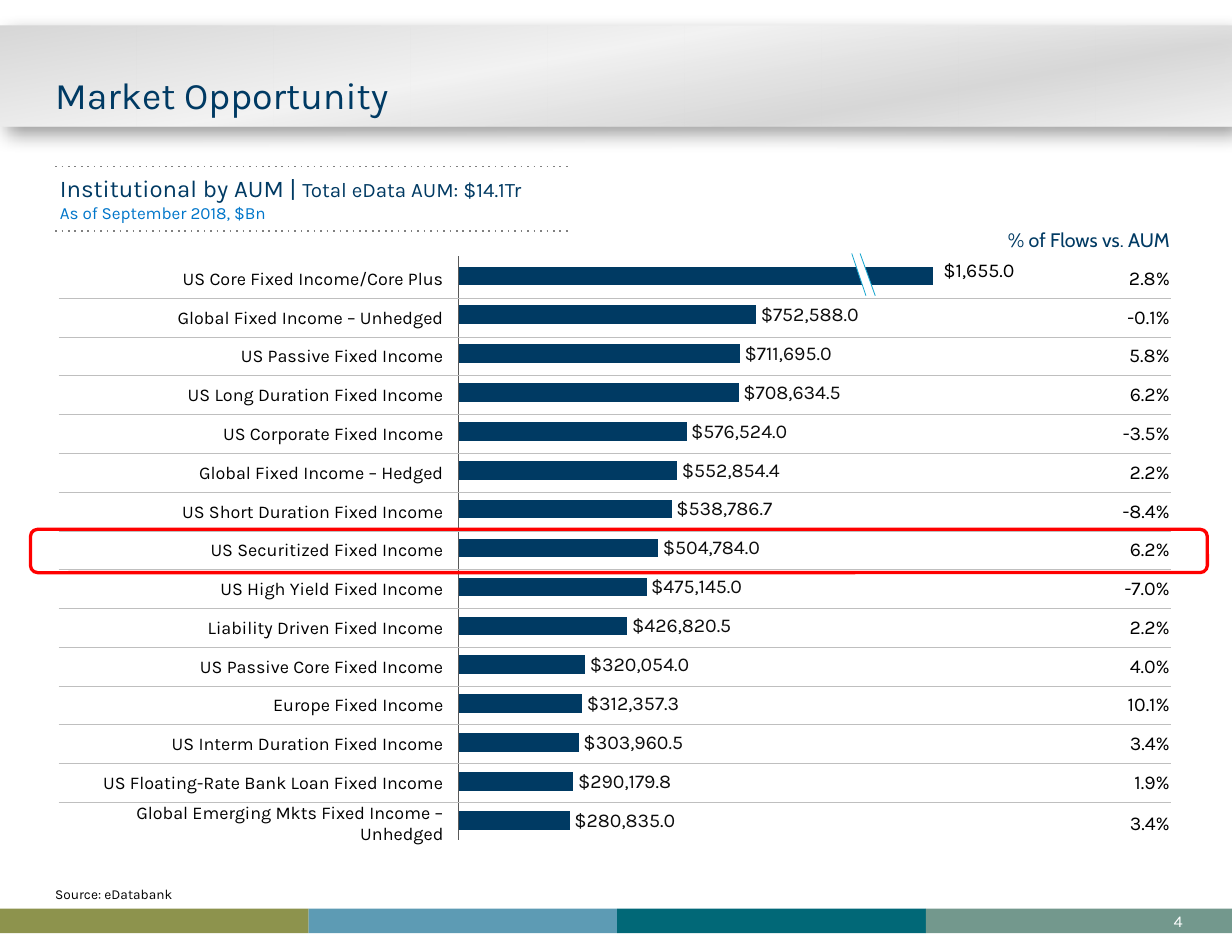
from pptx import Presentation
from pptx.chart.data import CategoryChartData
from pptx.dml.color import RGBColor
from pptx.enum.chart import XL_CHART_TYPE as CT, XL_LABEL_POSITION as LP
from pptx.enum.chart import XL_TICK_LABEL_POSITION as TLP, XL_TICK_MARK as TM
from pptx.enum.shapes import MSO_CONNECTOR as MC, MSO_SHAPE as MS
from pptx.enum.text import MSO_ANCHOR as MA, PP_ALIGN as PA
from pptx.oxml import parse_xml
from pptx.oxml.ns import nsdecls
from pptx.util import Pt

NAVY, BLACK, FMT = "003A63", "000000", '"$"#,##0.0'
rgb = RGBColor.from_string


def write(tf, paras, insets=(0, 0, 0, 0), anchor=MA.TOP, align=PA.LEFT, wrap=True):
    sides = ("margin_left", "margin_top", "margin_right", "margin_bottom")
    fmt = dict(zip(sides, map(Pt, insets)), vertical_anchor=anchor, word_wrap=wrap)
    for k, v in fmt.items():
        setattr(tf, k, v)
    for i, runs in enumerate(paras):
        p = tf.add_paragraph() if i else tf.paragraphs[0]
        p.alignment = align
        for text, size, color, font in runs:
            r = p.add_run()
            r.text = text
            r.font.size, r.font.name = Pt(size), font
            r.font.color.rgb = rgb(color)


def shape(kind, box, fill=None, line=None):
    sp = s.shapes.add_shape(kind, *map(Pt, box))
    sp.shadow.inherit = False
    if fill:
        sp.fill.solid()
        sp.fill.fore_color.rgb = rgb(fill)
    else:
        sp.fill.background()
    if line:
        sp.line.color.rgb, sp.line.width = rgb(line), Pt(2)
    else:
        sp.line.fill.background()
    return sp


prs = Presentation()
prs.slide_width, prs.slide_height = Pt(756), Pt(576)
s = prs.slides.add_slide(prs.slide_layouts[5])

band = shape(MS.RECTANGLE, (0, 16, 756, 61.5), "F2F2F2")
pr = band.element.spPr
stops = "".join(
    f'<a:gs pos="{pos}000"><a:srgbClr val="{c}"><a:alpha val="{a}000"/></a:srgbClr></a:gs>'
    for pos, c, a in ((0, "D6D6D6", 100), (41, "F2F2F2", 100),
                      (73, "DBDBDB", 93), (100, "F2F2F2", 100)))
pr.replace(pr.find("{*}solidFill"), parse_xml(
    f'<a:gradFill {nsdecls("a")} rotWithShape="1"><a:gsLst>{stops}</a:gsLst>'
    '<a:lin ang="4800000" scaled="0"/></a:gradFill>'))
pr.replace(pr.find("{*}effectLst"), parse_xml(
    f'<a:effectLst {nsdecls("a")}><a:outerShdw blurRad="152400" dist="76200" dir="2700000" '
    'algn="tl" rotWithShape="0"><a:srgbClr val="000000"><a:alpha val="40000"/></a:srgbClr>'
    '</a:outerShdw></a:effectLst>'))
for i, c in enumerate(("8D934D", "5D9BB4", "016877", "73988D")):
    shape(MS.RECTANGLE, (i * 189.4, 557.3, min(189.4, 756 - i * 189.4), 15.1), c)

rows = (
    ("US Core Fixed Income/Core Plus", 1200000, "2.8%"),
    ("Global Fixed Income – Unhedged", 752588, "-0.1%"),
    ("US Passive Fixed Income", 711695, "5.8%"),
    ("US Long Duration Fixed Income", 708634.5, "6.2%"),
    ("US Corporate Fixed Income", 576524, "-3.5%"),
    ("Global Fixed Income – Hedged", 552854.4, "2.2%"),
    ("US Short Duration Fixed Income", 538786.7, "-8.4%"),
    ("US Securitized Fixed Income", 504784, "6.2%"),
    ("US High Yield Fixed Income", 475145, "-7.0%"),
    ("Liability Driven Fixed Income", 426820.5, "2.2%"),
    ("US Passive Core Fixed Income", 320054, "4.0%"),
    ("Europe Fixed Income", 312357.3, "10.1%"),
    ("US Interm Duration Fixed Income", 303960.5, "3.4%"),
    ("US Floating-Rate Bank Loan Fixed Income", 290179.8, "1.9%"),
    ("Global Emerging Mkts Fixed Income – Unhedged", 280835, "3.4%"),
)

cd = CategoryChartData()
cd.categories = [str(i + 1) for i in range(len(rows))]
cd.add_series("Series 1", [row[1] for row in rows])
chart = s.shapes.add_chart(
    CT.BAR_CLUSTERED, Pt(144.7), Pt(152.6), Pt(573.8), Pt(362.9), cd).chart
chart.has_legend = chart.has_title = False
chart.font.size, chart.font.name = Pt(9), "Karla"
chart.font.color.rgb = rgb("0D0D0D")
cat, val = chart.category_axis, chart.value_axis
for ax, fmt in (
    (cat, dict(reverse_order=True, major_tick_mark=TM.NONE)),
    (val, dict(minimum_scale=-20000, maximum_scale=1300000, major_unit=500000,
               major_tick_mark=TM.OUTSIDE)),
):
    fmt.update(has_major_gridlines=False, tick_label_position=TLP.NONE)
    for k, v in fmt.items():
        setattr(ax, k, v)
cat.format.line.color.rgb, cat.format.line.width = rgb("595959"), Pt(0.5)
val.format.line.fill.background()
val.tick_labels.number_format, val.tick_labels.number_format_is_linked = FMT, False
plot = chart.plots[0]
plot.gap_width, plot.vary_by_categories = 110, False
ser = plot.series[0]
ser.format.fill.solid()
ser.format.fill.fore_color.rgb = rgb(NAVY)
dl = ser.data_labels
for k, v in dict(show_value=True, number_format=FMT, number_format_is_linked=False,
                 position=LP.OUTSIDE_END).items():
    setattr(dl, k, v)
dl.font.size, dl.font.name = Pt(12), "Karla"
dl.font.color.rgb = rgb("0D0D0D")
ser.data_labels._element.insert(0, parse_xml(
    f'<c:dLbl {nsdecls("c")}><c:idx val="0"/><c:delete val="1"/></c:dLbl>'))
area = chart.element.xpath("c:chart/c:plotArea")[0]
for old in area.xpath("c:layout"):
    area.remove(old)
sizes = "".join(f'<c:{k} val="{v}"/>' for k, v in
                dict(x=0.23, y=0.013, w=0.558, h=0.987).items())
area.insert(0, parse_xml(
    f'<c:layout {nsdecls("c")}><c:manualLayout><c:layoutTarget val="inner"/>'
    f'<c:xMode val="edge"/><c:yMode val="edge"/>{sizes}</c:manualLayout></c:layout>'))

n = len(rows) + 1
tbl = s.shapes.add_table(n, 2, Pt(36), Pt(135.4), Pt(682.6), Pt(23.8 * n)).table
tbl.first_row = tbl.horz_banding = False
tbl.columns[0].width, tbl.columns[1].width = Pt(236.9), Pt(445.7)
for i in range(n):
    tbl.rows[i].height = Pt(23.8)
    if i:
        texts = ((rows[i - 1][0], 11, BLACK, "Karla"), (rows[i - 1][2], 12, BLACK, "Karla"))
    else:
        texts = (("", 12, NAVY, "Cabin"), ("% of Flows vs. AUM", 12, NAVY, "Cabin"))
    for j, run in enumerate(texts):
        cell = tbl.cell(i, j)
        write(cell.text_frame, [[run]] if run[0] else [], align=PA.RIGHT)
        for k, v in dict(margin_left=0.7, margin_right=0.7, margin_bottom=0,
                         margin_top=0 if j else 0.7).items():
            setattr(cell, k, Pt(v))
        cell.vertical_anchor = MA.MIDDLE
        cell.fill.background()
        ruled = {"lnT": i > 1, "lnB": 0 < i < n - 1}
        for k, tag in enumerate(("lnL", "lnR", "lnT", "lnB")):
            ink = ('<a:solidFill><a:srgbClr val="BFBFBF"/></a:solidFill>'
                   if ruled.get(tag) else "<a:noFill/>")
            cell._tc.get_or_add_tcPr().insert(k, parse_xml(
                f'<a:{tag} {nsdecls("a")} w="6350">{ink}</a:{tag}>'))

title = s.shapes.title
s.shapes.element.append(title.element)
for k, v in dict(left=33.8, top=48.2, width=532.8, height=23.8).items():
    setattr(title, k, Pt(v))
write(title.text_frame, [[("Market Opportunity", 23, NAVY, "Karla")]], anchor=MA.BOTTOM)
title.text_frame.paragraphs[0].line_spacing = 0.85

for box, paras, fmt in (
    ((36.7, 100.8, 324.7, 41.8),
     [[("Institutional by AUM | ", 14.7, NAVY, "Karla"),
       ("Total eData AUM: $14.1Tr", 12.6, NAVY, "Karla")],
      [("As of September 2018, $Bn", 10.5, "0076CA", "Karla")]],
     dict(insets=(0, 4.3, 0, 5), anchor=MA.MIDDLE)),
    ((33.8, 543.6, 694.8, 10.1), [[("Source: eDatabank", 8.4, BLACK, "Karla")]], {}),
    ((715.7, 558.7, 10.1, 12.2), [[("4", 10, "FFFFFF", "Karla")]],
     dict(anchor=MA.BOTTOM, align=PA.RIGHT, wrap=False)),
):
    write(s.shapes.add_textbox(*map(Pt, box)).text_frame, paras, **fmt)

sp = shape(MS.RECTANGLE, (578.9, 158.4, 58.3, 14.4), "FFFFFF")
write(sp.text_frame, [[("$1,655.0", 12, BLACK, "Karla")]])

fb = s.shapes.build_freeform(Pt(522.7), Pt(155.5))
fb.add_line_segments([(Pt(x), Pt(y)) for x, y in
                      ((527.8, 155.5), (537.1, 181.4), (531.4, 181.4))])
gap = fb.convert_to_shape()
gap.shadow.inherit = False
gap.fill.solid()
gap.fill.fore_color.rgb = rgb("FFFFFF")
gap.line.fill.background()

for x1, y1, x2, y2, color, width, dash in (
    (33.8, 102.2, 348.5, 102.2, "808080", 1, "dot"),
    (33.8, 141.8, 348.5, 141.8, "808080", 1, "dot"),
    (537.1, 181.4, 527.8, 155.5, "18A6CF", 0.5, "solid"),
    (531.4, 181.4, 522.7, 155.5, "18A6CF", 0.5, "solid"),
):
    ln = s.shapes.add_connector(MC.STRAIGHT, Pt(x1), Pt(y1), Pt(x2), Pt(y2))
    ln.line.color.rgb, ln.line.width = rgb(color), Pt(width)
    pr = ln.element.spPr
    pr.find("{*}ln").append(parse_xml(f'<a:prstDash {nsdecls("a")} val="{dash}"/>'))
    pr.append(parse_xml(f'<a:effectLst {nsdecls("a")}/>'))

shape(MS.ROUNDED_RECTANGLE, (18.7, 324.7, 722.2, 26.6), line="FF0000")

prs.save("out.pptx")
